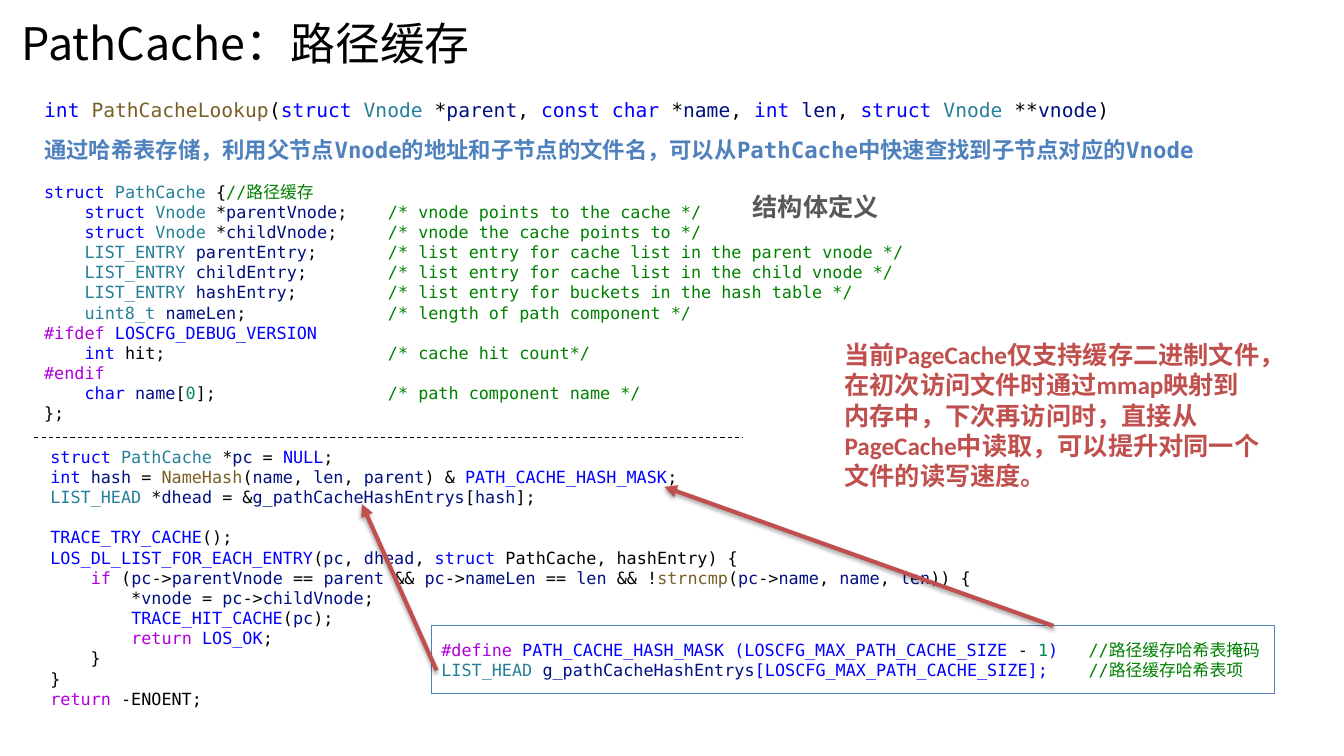
"""Build the PathCache slide: syntax-coloured code, notes and pointer arrows."""
from lxml import etree
from pptx import Presentation
from pptx.dml.color import RGBColor
from pptx.enum.dml import MSO_LINE
from pptx.enum.shapes import MSO_CONNECTOR, MSO_SHAPE
from pptx.oxml.ns import qn
from pptx.util import Pt

BLACK = RGBColor(0x00, 0x00, 0x00)
BLUE = RGBColor(0x4F, 0x81, 0xBD)
RED = RGBColor(0xC0, 0x50, 0x4D)
GREY = RGBColor(0x59, 0x59, 0x59)
SYNTAX = {
    "K": BLACK,
    "B": RGBColor(0x00, 0x00, 0xFF),
    "F": RGBColor(0x79, 0x5E, 0x26),
    "T": RGBColor(0x26, 0x7F, 0x99),
    "V": RGBColor(0x00, 0x10, 0x80),
    "C": RGBColor(0x00, 0x80, 0x00),
    "P": RGBColor(0xAF, 0x00, 0xDB),
    "N": RGBColor(0x09, 0x86, 0x58),
}
MONO, CJK, SANS = "DejaVu Sans Mono", "Noto Sans CJK SC", "Calibri"

SIGNATURE = [
    "~Bint ~FPathCacheLookup~K(~Bstruct ~TVnode~K *~Vparent~K, ~Bconst char~K *~Vname~K, "
    "~Bint ~Vlen~K, ~Bstruct ~TVnode~K **~Vvnode~K)",
]
STRUCT = [
    "~Bstruct ~TPathCache~K {~C//路径缓存",
    "~K    ~Bstruct ~TVnode~K *~VparentVnode~K;~C\t/* vnode points to the cache */",
    "~K    ~Bstruct ~TVnode~K *~VchildVnode~K;~C\t/* vnode the cache points to */",
    "~K    ~TLIST_ENTRY ~VparentEntry~K;~C\t/* list entry for cache list in the parent vnode */",
    "~K    ~TLIST_ENTRY ~VchildEntry~K;~C\t/* list entry for cache list in the child vnode */",
    "~K    ~TLIST_ENTRY ~VhashEntry~K;~C\t/* list entry for buckets in the hash table */",
    "~K    ~Tuint8_t ~VnameLen~K;~C\t/* length of path component */",
    "~P#ifdef~B LOSCFG_DEBUG_VERSION",
    "~K    ~Bint~K hit;~C\t/* cache hit count*/",
    "~P#endif",
    "~K    ~Bchar ~Vname~K[~N0~K];~C\t/* path component name */",
    "~K};",
]
DEFINES = [
    "~P#define~B PATH_CACHE_HASH_MASK (LOSCFG_MAX_PATH_CACHE_SIZE ~K- ~N1~B)~C\t//路径缓存哈希表掩码",
    "~TLIST_HEAD ~Vg_pathCacheHashEntrys~B[LOSCFG_MAX_PATH_CACHE_SIZE];~C\t//路径缓存哈希表项",
]
LOOKUP_HEAD = [
    "~K    ~Bstruct ~TPathCache~K *~Vpc~K = ~BNULL~K;",
    "~K    ~Bint ~Vhash~K = ~FNameHash~K(~Vname~K, ~Vlen~K, ~Vparent~K) & ~BPATH_CACHE_HASH_MASK~K;",
    "~K    ~TLIST_HEAD~K *~Vdhead~K = &~Vg_pathCacheHashEntrys~K[~Vhash~K];",
]
LOOKUP_LOOP = [
    "~K    ~BTRACE_TRY_CACHE~K();",
    "~K    ~BLOS_DL_LIST_FOR_EACH_ENTRY~K(~Vpc~K, ~Vdhead~K, ~Bstruct~K PathCache, hashEntry) {",
    "~K        ~Pif~K (~Vpc~K->~VparentVnode~K == ~Vparent~K && ~Vpc~K->~VnameLen~K == ~Vlen"
    "~K && !~Fstrncmp~K(~Vpc~K->~Vname~K, ~Vname~K, ~Vlen~K)) {",
    "~K            *~Vvnode~K = ~Vpc~K->~VchildVnode~K;",
    "~K            ~BTRACE_HIT_CACHE~K(~Vpc~K);",
    "~K            ~Preturn ~BLOS_OK~K;",
    "~K        }",
    "~K    }",
    "~K    ~Preturn~K -ENOENT;",
]

# (box, lines, size, comment column, first line of the second block)
CODE = [
    ((24.5, 66.2, 878, 24.5), SIGNATURE, 14, None, None),
    ((24.5, 126, 740, 181.4), STRUCT, 12, 245.6, None),
    ((308.2, 453.6, 676, 36), DEFINES, 12, 462.3, None),
    ((0, 315.4, 840, 196.6), LOOKUP_HEAD + LOOKUP_LOOP, 12, None, len(LOOKUP_HEAD)),
]
NOTES = [
    ((8.6, 7.9, 941, 46), "PathCache：路径缓存", 32, CJK, BLACK, False),
    ((24.5, 93.6, 897, 26.6),
     "通过哈希表存储，利用父节点Vnode的地址和子节点的文件名，可以从PathCache中快速查找到子节点对应的Vnode",
     16, MONO, BLUE, True),
    ((530.6, 133.2, 108.7, 28.8), "结构体定义", 18, CJK, GREY, True),
    ((596.2, 239, 312.5, 116.6),
     "当前PageCache仅支持缓存二进制文件，在初次访问文件时通过mmap映射到内存中，"
     "下次再访问时，直接从PageCache中读取，可以提升对同一个文件的读写速度。",
     18, SANS, RED, True),
]
DIVIDER = (24.5, 312.5, 530.6, 312.5)
DEFINES_FRAME = (308.2, 447.1, 601.9, 48.2)
ARROWS = [(752.4, 447.1, 474.5, 347.8), (311.8, 478.8, 258.5, 360)]


def add_text(s, box):
    tf = s.shapes.add_textbox(*map(Pt, box)).text_frame
    tf.word_wrap = True
    return tf


def set_font(p, name, size):
    p.font.name, p.font.size = name, Pt(size)
    etree.SubElement(p.font._element, qn("a:ea"), typeface=CJK)


def add_code(s, box, lines, size, comment_at, gap_at):
    tf = add_text(s, box)
    for i, line in enumerate(lines):
        p = tf.paragraphs[0] if i == 0 else tf.add_paragraph()
        if i == gap_at:
            p.space_before = Pt(14.4)
        if comment_at:
            tabs = etree.SubElement(p._p.get_or_add_pPr(), qn("a:tabLst"))
            etree.SubElement(tabs, qn("a:tab"), pos=str(Pt(comment_at)), algn="l")
        set_font(p, MONO, size)
        for token in line.split("~")[1:]:
            r = p.add_run()
            r.text = token[1:]
            r.font.color.rgb = SYNTAX[token[0]]


def add_note(s, box, text, size, font, color, bold):
    p = add_text(s, box).paragraphs[0]
    set_font(p, font, size)
    p.font.bold, p.font.color.rgb = bold, color
    p.add_run().text = text


def add_line(s, ends, color, width):
    line = s.shapes.add_connector(MSO_CONNECTOR.STRAIGHT, *map(Pt, ends))
    line.line.color.rgb, line.line.width = color, Pt(width)
    effects = etree.SubElement(line._element.spPr, qn("a:effectLst"))
    return line, effects


def add_arrow(s, ends):
    arrow, effects = add_line(s, ends, RED, 3)
    etree.SubElement(arrow.line._get_or_add_ln(), qn("a:tailEnd"), type="triangle")
    shadow = etree.SubElement(effects, qn("a:outerShdw"), blurRad=str(Pt(3.1)),
                              dist=str(Pt(1.8)), dir="5400000", rotWithShape="0")
    black = etree.SubElement(shadow, qn("a:srgbClr"), val=str(BLACK))
    etree.SubElement(black, qn("a:alpha"), val="35000")


def main():
    prs = Presentation()
    prs.slide_width, prs.slide_height = Pt(960), Pt(540)
    s = prs.slides.add_slide(prs.slide_layouts[6])
    for code in CODE:
        add_code(s, *code)
    for note in NOTES:
        add_note(s, *note)
    divider, _ = add_line(s, DIVIDER, BLACK, 0.75)
    divider.line.dash_style = MSO_LINE.DASH
    frame = s.shapes.add_shape(MSO_SHAPE.RECTANGLE, *map(Pt, DEFINES_FRAME))
    frame.shadow.inherit = False
    frame.fill.background()
    frame.line.color.rgb, frame.line.width = BLUE, Pt(0.75)
    for ends in ARROWS:
        add_arrow(s, ends)
    prs.save("out.pptx")


if __name__ == "__main__":
    main()
